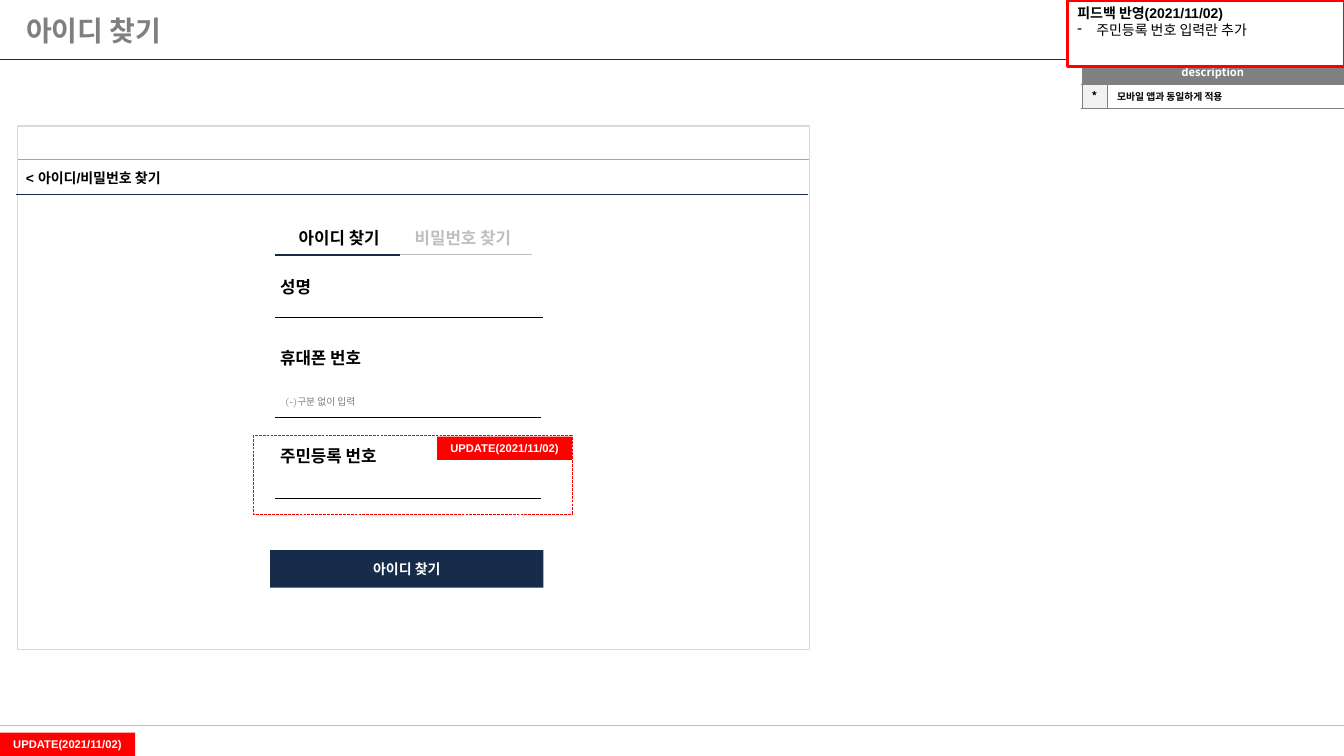
from dataclasses import dataclass
from typing import Optional

from lxml.etree import SubElement
from pptx import Presentation
from pptx.dml.color import RGBColor
from pptx.enum.dml import MSO_LINE
from pptx.enum.shapes import MSO_CONNECTOR, MSO_SHAPE
from pptx.enum.text import MSO_ANCHOR as ANCHOR, MSO_AUTO_SIZE, PP_ALIGN as ALIGN
from pptx.oxml.ns import qn
from pptx.util import Pt

COLORS = {
    "white": "FFFFFF", "black": "000000", "red": "FF0000", "navy": "152A4B",
    "button": "172B4B", "title": "7F7F7F", "gray": "808080", "rule": "BFBFBF",
    "bar": "A6A6A6", "frame": "D9D9D9", "light": "F2F2F2",
}
ADVENTOR, PAGELLA = "TeX Gyre Adventor", "TeX Gyre Pagella"
ARIAL, NOTO = "Arial", "Noto Sans CJK KR"


@dataclass(frozen=True)
class Style:
    size: float
    font: str
    color: str = "black"
    bold: bool = True
    align: ALIGN = ALIGN.LEFT


@dataclass(frozen=True)
class Rule:
    x1: float
    x2: float
    y: float
    color: str = "black"
    width: float = 0.25


@dataclass(frozen=True)
class Label:
    text: str
    x: float
    y: float
    w: float
    h: float
    style: Style


@dataclass(frozen=True)
class Box:
    x: float
    y: float
    w: float
    h: float
    fill: Optional[str] = None
    line: Optional[str] = None
    width: float = 0.25
    dash: Optional[MSO_LINE] = None


FIELD = Style(12, PAGELLA)
TAB_ON = Style(12, PAGELLA, align=ALIGN.CENTER)
TAB_OFF = Style(12, PAGELLA, "rule", align=ALIGN.CENTER)
BADGE = Style(8, ARIAL, "white", align=ALIGN.CENTER)
BUTTON = Style(10, PAGELLA, "white", align=ALIGN.CENTER)
FIELD_X, LINE_X, FIELD_W, FIELD_H = 193, 196.6, 91.4, 21.6

MASTER_RULES = [
    Rule(0, 960, 518.4, "rule", 1),
    Rule(0, 960, 42.5, "navy", 0.75),
]
FORM_RULES = [
    Rule(13, 578, 113.8, "bar"),
    Rule(11.5, 577.5, 138.5, "navy"),
    Rule(LINE_X, 380, 182, "rule", 0.75),
    Rule(LINE_X, 286, 182, "navy", 1.5),
    Rule(LINE_X, 388, 226.8),
    Rule(LINE_X, 386.6, 298),
    Rule(LINE_X, 386.6, 355.7),
]
LABELS = [
    Label("< 아이디/비밀번호 찾기", 11.5, 117.4, 216, 20, Style(10, ARIAL)),
    Label("아이디 찾기", LINE_X, 159, FIELD_W, FIELD_H, TAB_ON),
    Label("비밀번호 찾기", 285, 159, FIELD_W, FIELD_H, TAB_OFF),
    Label("성명", FIELD_X, 194.4, FIELD_W, FIELD_H, FIELD),
    Label("휴대폰 번호", FIELD_X, 244.8, FIELD_W, FIELD_H, FIELD),
    Label("(-)구분 없이 입력", LINE_X, 279.4, FIELD_W, 15.8,
          Style(7, PAGELLA, "gray", False)),
    Label("주민등록 번호", FIELD_X, 314.6, FIELD_W, FIELD_H, FIELD),
]


def rgb(name: str) -> RGBColor:
    return RGBColor.from_string(COLORS[name])


def style_paragraph(p, text: str, style: Style) -> None:
    p.text = text
    p.alignment = style.align
    f = p.font
    f.size, f.name, f.bold = Pt(style.size), style.font, style.bold
    f.color.rgb = rgb(style.color)


def add_rule(slide, rule: Rule) -> None:
    s = slide.shapes.add_connector(MSO_CONNECTOR.STRAIGHT, Pt(rule.x1), Pt(rule.y),
                                   Pt(rule.x2), Pt(rule.y))
    s.line.color.rgb = rgb(rule.color)
    s.line.width = Pt(rule.width)
    SubElement(s._element.spPr, qn("a:effectLst"))


def add_label(slide, label: Label):
    tf = slide.shapes.add_textbox(Pt(label.x), Pt(label.y),
                                  Pt(label.w), Pt(label.h)).text_frame
    tf.word_wrap = True
    tf.auto_size = MSO_AUTO_SIZE.SHAPE_TO_FIT_TEXT
    style_paragraph(tf.paragraphs[0], label.text, label.style)
    return tf


def add_box(slide, box: Box, text: str = "", style: Optional[Style] = None):
    s = slide.shapes.add_shape(MSO_SHAPE.RECTANGLE, Pt(box.x), Pt(box.y),
                               Pt(box.w), Pt(box.h))
    s.shadow.inherit = False
    if box.fill:
        s.fill.solid()
        s.fill.fore_color.rgb = rgb(box.fill)
    else:
        s.fill.background()
    if box.line:
        s.line.color.rgb = rgb(box.line)
        s.line.width = Pt(box.width)
        if box.dash:
            s.line.dash_style = box.dash
    else:
        s.line.fill.background()
    tf = s.text_frame
    tf.vertical_anchor = ANCHOR.MIDDLE
    if style:
        style_paragraph(tf.paragraphs[0], text, style)
    return tf


def add_badge(slide, x: float, y: float) -> None:
    add_box(slide, Box(x, y, 96.5, 16.6, "red"), "UPDATE(2021/11/02)", BADGE)


def style_cell(cell, text: str, style: Style, fill: str) -> None:
    cell.fill.solid()
    cell.fill.fore_color.rgb = rgb(fill)
    cell.vertical_anchor = ANCHOR.MIDDLE
    if style.align == ALIGN.CENTER:
        cell.margin_left = cell.margin_right = Pt(2.88)
        cell.margin_top = cell.margin_bottom = Pt(2.88)
    style_paragraph(cell.text_frame.paragraphs[0], text, style)


def add_borders(cell) -> None:
    tc_pr = cell._tc.get_or_add_tcPr()
    for i, side in enumerate(("lnL", "lnR", "lnT", "lnB")):
        ln = tc_pr.makeelement(qn(f"a:{side}"), {"w": str(Pt(0.25))})
        fill = SubElement(ln, qn("a:solidFill"))
        SubElement(fill, qn("a:srgbClr"), val=COLORS["gray"])
        tc_pr.insert(i, ln)


def add_description(slide) -> None:
    table = slide.shapes.add_table(2, 2, Pt(772.6), Pt(42.5), Pt(187.4), Pt(31)).table
    for col, width in zip(table.columns, (18.2, 169.2)):
        col.width = Pt(width)
    for row in table.rows:
        row.height = Pt(15.5)
    table.cell(0, 0).merge(table.cell(0, 1))
    center = ALIGN.CENTER
    style_cell(table.cell(0, 0), "description", Style(8, NOTO, "white", align=center), "gray")
    style_cell(table.cell(1, 0), "*", Style(8, NOTO, align=center), "light")
    style_cell(table.cell(1, 1), "모바일 앱과 동일하게 적용", Style(7, NOTO), "white")
    for cell in table.iter_cells():
        add_borders(cell)


def add_feedback(slide) -> None:
    tf = add_box(slide, Box(762.5, 0, 198, 47.5, "white", "red", 2.25),
                 "피드백 반영(2021/11/02)", Style(10, ARIAL))
    tf.vertical_anchor = ANCHOR.TOP
    p = tf.add_paragraph()
    p_pr = p._p.get_or_add_pPr()
    p_pr.set("marL", str(Pt(13.5)))
    p_pr.set("indent", str(Pt(-13.5)))
    SubElement(p_pr, qn("a:buChar"), char="-")
    style_paragraph(p, "주민등록 번호 입력란 추가", Style(10, ARIAL, bold=False))


def main() -> None:
    prs = Presentation()
    prs.slide_width, prs.slide_height = Pt(960), Pt(540)
    slide = prs.slides.add_slide(prs.slide_layouts[6])

    for rule in MASTER_RULES:
        add_rule(slide, rule)
    add_box(slide, Box(12.4, 90, 566, 373.8, "white", "frame", 0.75))
    title = add_label(slide, Label("아이디 찾기", 11.5, 2.2, 938, 38.9,
                                   Style(20, ADVENTOR, "title")))
    title.auto_size = MSO_AUTO_SIZE.NONE
    title.vertical_anchor = ANCHOR.MIDDLE
    add_description(slide)

    for rule in FORM_RULES:
        add_rule(slide, rule)
    for label in LABELS:
        add_label(slide, label)
    add_box(slide, Box(FIELD_X, 393, 195.2, 26.8, "button"), "아이디 찾기", BUTTON)
    add_box(slide, Box(180.9, 311, 227.5, 56.3, line="red", dash=MSO_LINE.LONG_DASH))
    add_badge(slide, 312.2, 311.9)
    add_feedback(slide)
    add_badge(slide, 0, 523.4)
    prs.save("out.pptx")


if __name__ == "__main__":
    main()
